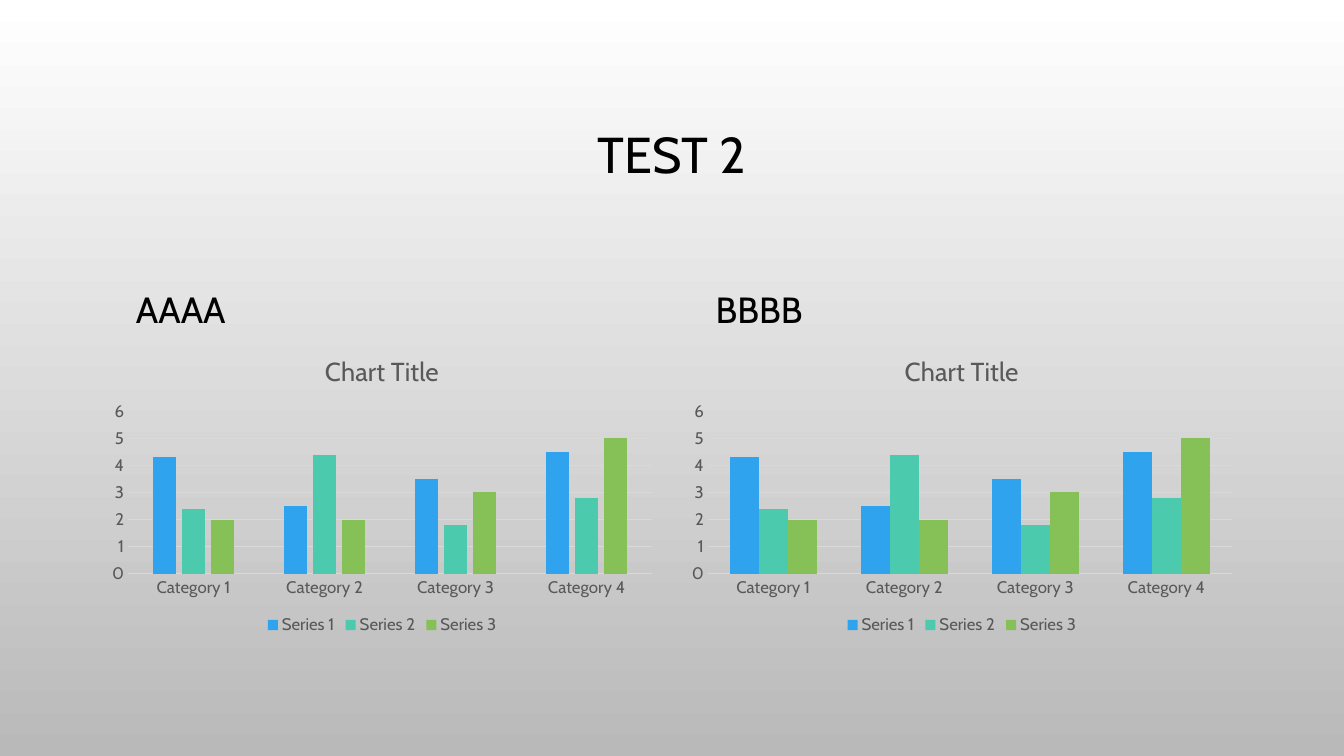
from dataclasses import dataclass

from pptx import Presentation
from pptx.chart.data import CategoryChartData
from pptx.dml.color import RGBColor
from pptx.enum.chart import XL_CHART_TYPE, XL_LEGEND_POSITION, XL_TICK_MARK
from pptx.enum.text import MSO_ANCHOR, PP_ALIGN
from pptx.util import Inches, Pt

CLUSTERED = XL_CHART_TYPE.COLUMN_CLUSTERED
LEGEND_BOTTOM = XL_LEGEND_POSITION.BOTTOM
NO_TICK = XL_TICK_MARK.NONE
MIDDLE, BOTTOM = MSO_ANCHOR.MIDDLE, MSO_ANCHOR.BOTTOM
LEFT, CENTER = PP_ALIGN.LEFT, PP_ALIGN.CENTER


@dataclass(frozen=True)
class Theme:
    font: str = "Cabin"
    text: str = "000000"
    muted: str = "595959"
    rule: str = "D9D9D9"
    background: tuple = ("FFFFFF", "B9B9B9")
    series: tuple = ("2FA3EE", "4BCAAD", "86C157")
    title_size: float = 36
    heading_size: float = 26
    chart_title_size: float = 18.6
    label_size: float = 12
    rule_width: float = 0.75


CATEGORIES = ["Category 1", "Category 2", "Category 3", "Category 4"]
SERIES = {
    "Series 1": (4.3, 2.5, 3.5, 4.5),
    "Series 2": (2.4, 4.4, 1.8, 2.8),
    "Series 3": (2, 2, 3, 5),
}
# heading, left edge, gap width, overlap, category axis line shown
PANELS = [
    ("AAAA", 1, 219, -27, True),
    ("BBBB", 6.75, 150, 0, False),
]


class SlideBuilder:
    def __init__(self, slide, theme):
        self.slide = slide
        self.theme = theme

    def style_font(self, font, size, color):
        font.name = self.theme.font
        font.size = Pt(size)
        font.bold = False
        font.color.rgb = RGBColor.from_string(color)

    def style_rule(self, line):
        line.color.rgb = RGBColor.from_string(self.theme.rule)
        line.width = Pt(self.theme.rule_width)

    def background(self):
        fill = self.slide.background.fill
        fill.gradient()
        fill.gradient_angle = 270
        for stop, color in zip(fill.gradient_stops, self.theme.background):
            stop.color.rgb = RGBColor.from_string(color)

    def text(self, text, box, size, anchor, align, line_spacing, space_before=0):
        tf = self.slide.shapes.add_textbox(*map(Inches, box)).text_frame
        tf.word_wrap = True
        tf.vertical_anchor = anchor
        p = tf.paragraphs[0]
        p.alignment = align
        p.line_spacing = line_spacing
        p.space_before = Pt(space_before)
        r = p.add_run()
        r.text = text
        self.style_font(r.font, size, self.theme.text)

    def chart(self, title, box, gap, overlap, axis_line):
        theme = self.theme
        data = CategoryChartData()
        data.categories = CATEGORIES
        for name, values in SERIES.items():
            data.add_series(name, values)
        chart = self.slide.shapes.add_chart(
            CLUSTERED, *map(Inches, box), data).chart
        self.style_font(chart.font, theme.label_size, theme.muted)

        chart.has_title = True
        r = chart.chart_title.text_frame.paragraphs[0].add_run()
        r.text = title
        self.style_font(r.font, theme.chart_title_size, theme.muted)
        chart.chart_title.include_in_layout = False

        chart.has_legend = True
        chart.legend.position = LEGEND_BOTTOM
        chart.legend.include_in_layout = False
        self.style_font(chart.legend.font, theme.label_size, theme.muted)

        plot = chart.plots[0]
        plot.gap_width = gap
        plot.overlap = overlap
        plot.vary_by_categories = False
        for series, color in zip(plot.series, theme.series):
            series.format.fill.solid()
            series.format.fill.fore_color.rgb = RGBColor.from_string(color)

        for axis in (chart.category_axis, chart.value_axis):
            axis.major_tick_mark = axis.minor_tick_mark = NO_TICK
            self.style_font(axis.tick_labels.font, theme.label_size, theme.muted)
            axis.format.line.fill.background()
        if axis_line:
            self.style_rule(chart.category_axis.format.line)
        value_axis = chart.value_axis
        value_axis.minimum_scale, value_axis.maximum_scale = 0, 6
        value_axis.major_unit = 1
        value_axis.has_major_gridlines = True
        self.style_rule(value_axis.major_gridlines.format.line)


def main():
    prs = Presentation()
    prs.slide_width, prs.slide_height = Inches(13.33), Inches(7.5)
    theme = Theme()
    s = SlideBuilder(prs.slides.add_slide(prs.slide_layouts[6]), theme)
    s.background()
    s.text("TEST 2", (1, 0.68, 11.33, 1.75), theme.title_size,
           MIDDLE, CENTER, 0.9)
    for heading, left, gap, overlap, axis_line in PANELS:
        s.text(heading, (left + 0.25, 2.59, 5.33, 0.74), theme.heading_size,
               BOTTOM, LEFT, 0.85, space_before=10)
        s.chart("Chart Title", (left, 3.34, 5.58, 3), gap, overlap, axis_line)
    prs.save("out.pptx")


if __name__ == "__main__":
    main()
